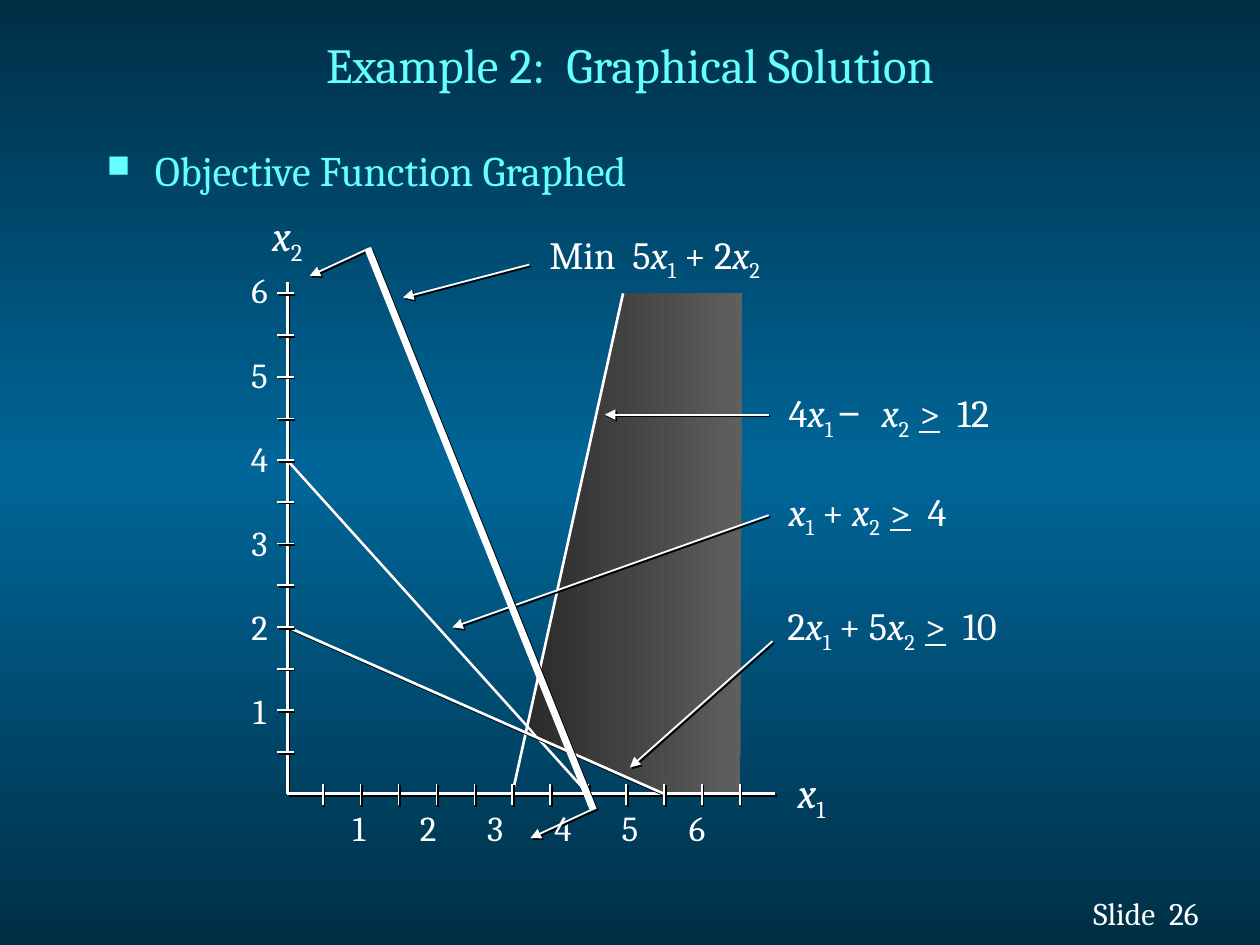
import copy
import dataclasses

import lxml.etree
import pptx
import pptx.dml.color
import pptx.enum.dml
import pptx.enum.shapes
import pptx.enum.text
import pptx.oxml.ns
import pptx.util

qn = pptx.oxml.ns.qn
COLUMNS, ROWS = 100, 75


@dataclasses.dataclass(frozen=True)
class Theme:
    font: str = "Cambria"
    symbol_font: str = "Arial"
    edge: str = "002F46"
    middle: str = "006699"
    heading: str = "66FFFF"
    ink: str = "FFFFFF"
    shadow: str = "000000"
    region: tuple = ("2B2B2B", "5F5F5F")
    title: int = 28
    body: int = 24
    formula: int = 22
    tick: int = 20
    footer: int = 18
    thin: float = 1
    medium: float = 1.5
    thick: float = 4


THEME = Theme()


@dataclasses.dataclass(frozen=True)
class Box:
    left: float
    top: float
    width: float
    height: float


def grid(cells):
    return pptx.util.Inches(cells * 10 / COLUMNS)


def rgb(value):
    return pptx.dml.color.RGBColor.from_string(value)


def add_node(parent, tag, **attributes):
    node = lxml.etree.SubElement(parent, qn(tag))
    for key, value in attributes.items():
        node.set(key, str(value))
    return node


def add_shadow(parent):
    effects = add_node(parent, "a:effectLst")
    outer = add_node(effects, "a:outerShdw", dist=17780, dir=2700000, algn="ctr", rotWithShape=0)
    add_node(outer, "a:srgbClr", val=THEME.shadow)


def style_paragraph(paragraph, size, color):
    font = paragraph.font
    font.name, font.size = THEME.font, pptx.util.Pt(size)
    font.color.rgb = rgb(color)


def add_text(slide, box, lines, size, color=THEME.ink, inset=1, shadow=False):
    frame = slide.shapes.add_textbox(
        grid(box.left), grid(box.top), grid(box.width), grid(box.height)).text_frame
    frame.word_wrap = True
    frame.margin_left = frame.margin_right = grid(inset)
    frame.margin_top = frame.margin_bottom = grid(inset / 2)
    for index, pieces in enumerate(lines):
        paragraph = frame.add_paragraph() if index else frame.paragraphs[0]
        style_paragraph(paragraph, size, color)
        for content, style in pieces:
            run = paragraph.add_run()
            run.text = content
            properties = run._r.get_or_add_rPr()
            if shadow:
                add_shadow(properties)
            if style == "italic":
                run.font.italic = True
            elif style == "underline":
                run.font.underline = True
            elif style == "subscript":
                properties.set("baseline", "-25000")
            elif style == "symbol":
                run.font.name = THEME.symbol_font
    return frame


def plain(content):
    return [(content, "")]


def variable(index, gap=""):
    return [("x", "italic"), (index + gap, "subscript")]


def at_least(bound):
    return [(">", "underline"), ("  " + bound, "")]


def add_line(slide, start, end, width, arrow=False, shadow=True):
    line = slide.shapes.add_connector(
        pptx.enum.shapes.MSO_CONNECTOR.STRAIGHT, *map(grid, start + end))
    line.line.color.rgb = rgb(THEME.ink)
    line.line.width = pptx.util.Pt(width)
    properties = line._element.spPr
    if arrow:
        add_node(properties.find(qn("a:ln")), "a:tailEnd", type="triangle")
    if shadow:
        add_shadow(properties)
    else:
        add_node(properties, "a:effectLst")


def paint_background(slide):
    fill = slide.background.fill
    fill.gradient()
    fill.gradient_angle = 90
    first = fill.gradient_stops[0]._gs
    first.addnext(copy.deepcopy(first))
    colors = (THEME.edge, THEME.middle, THEME.edge)
    for stop, color, position in zip(fill.gradient_stops, colors, (0, 0.5, 1)):
        stop.color.rgb = rgb(color)
        stop.position = position


def place_title(slide, box):
    frame = add_text(slide, box, [plain("Example 2:  Graphical Solution")], THEME.title, THEME.heading)
    frame.vertical_anchor = pptx.enum.text.MSO_ANCHOR.MIDDLE
    frame.paragraphs[0].alignment = pptx.enum.text.PP_ALIGN.CENTER


def place_topic(slide, box):
    frame = add_text(slide, box, [plain("Objective Function Graphed")], THEME.body, THEME.heading)
    topic = frame.paragraphs[0]
    topic.space_before = pptx.util.Pt(THEME.body * 0.2)
    properties = topic._p.get_or_add_pPr()
    properties.set("marL", str(grid(3.8)))
    properties.set("indent", str(-grid(3.8)))
    bullet_color = lxml.etree.Element(qn("a:buClr"))
    add_node(bullet_color, "a:srgbClr", val=THEME.heading)
    bullet_size = lxml.etree.Element(qn("a:buSzPct"), val="75000")
    bullet = lxml.etree.Element(qn("a:buChar"), char="■")
    for node in (bullet_color, bullet_size, bullet):
        properties.find(qn("a:defRPr")).addprevious(node)


def place_graph(slide, box):
    ticks = 12
    bottom = box.top + box.height
    corner = (box.left, bottom)

    def point(across, up):
        x = box.left - 0.2 + across * 3.01 if across else box.left
        return x, bottom - up * 3.31

    add_line(slide, (box.left, box.top), corner, THEME.medium)
    add_line(slide, point(0, 8), point(8, 0), THEME.medium)

    outline = [tuple(map(grid, point(*vertex))) for vertex in (
        (6.41, 1.66), (8.94, 12), (12.06, 12), (12, 0), (10, 0), (6.71, 1.33))]
    builder = slide.shapes.build_freeform(*outline[0], scale=1.0)
    builder.add_line_segments(outline[1:], close=True)
    region = builder.convert_to_shape()
    region.shadow.inherit = False
    region.line.fill.background()
    region.fill.gradient()
    region.fill.gradient_angle = 0
    for stop, color in zip(region.fill.gradient_stops, THEME.region):
        stop.color.rgb = rgb(color)

    add_line(slide, corner, (box.left + box.width, bottom), THEME.medium)
    add_line(slide, point(6, 0), point(8.92, 12), THEME.medium, shadow=False)
    add_line(slide, point(0, 4), point(10, 0), THEME.medium)
    for tick in range(1, ticks + 1):
        x, y = point(tick, tick)
        add_line(slide, (x, bottom - 0.8), (x, bottom + 0.9), THEME.thin)
        add_line(slide, (box.left - 0.8, y), (box.left + 0.5, y), THEME.thin)

    arrows = (
        ((12.76, 9.09), (8.44, 9.09)),
        ((12.86, 3.66), (9.1, 0.63)),
        ((12.76, 6.68), (4.42, 3.99)),
        ((6.45, 12.69), (3.12, 11.9)),
        ((8.07, -0.39), (6.48, -1.06)),
        ((2.23, 13.08), (0.66, 12.42)),
    )
    for start, end in arrows:
        add_line(slide, point(*start), point(*end), THEME.thin, arrow=True)
    add_line(slide, point(8.14, -0.39), point(2.19, 13.08), THEME.thick)
    place_tick_labels(slide, Box(box.left, box.top, box.width, box.height))


def place_tick_labels(slide, box):
    across = Box(box.left + 4.2, box.top + box.height + 0.5, box.width, 4.3)
    frame = add_text(slide, across, [plain("\t".join("123456"))], THEME.tick)
    stops = lxml.etree.Element(qn("a:tabLst"))
    for step in range(1, 6):
        add_node(stops, "a:tab", pos=grid(5.34 * step), algn="l")
    frame.paragraphs[0]._p.pPr.find(qn("a:defRPr")).addprevious(stops)

    upward = Box(box.left - 3.9, box.top - 1.5, 3.4, 37.7)
    frame = add_text(slide, upward, [plain(number) for number in "654321"], THEME.tick, inset=0.9)
    for paragraph in frame.paragraphs:
        paragraph.alignment = pptx.enum.text.PP_ALIGN.CENTER
        paragraph.space_after = pptx.util.Pt(24)


def place_formulas(slide, box):
    labels = (
        (0, 0, THEME.body, variable("2")),
        (41.7, 44.2, THEME.body, variable("1")),
        (22, 1.7, THEME.formula, plain("Min  5") + variable("1") + plain(" + 2") + variable("2")),
        (41, 14.3, THEME.formula, plain("4") + variable("1", " ") + [("−  ", "symbol")]
         + variable("2", "  ") + at_least("12")),
        (41, 22.1, THEME.formula, variable("1") + plain(" + ") + variable("2", "  ") + at_least("4")),
        (40.9, 31.2, THEME.formula, plain("2") + variable("1") + plain(" + 5")
         + variable("2", "  ") + at_least("10")),
    )
    for across, down, size, pieces in labels:
        width = 5.6 if size == THEME.body else 23
        label = Box(box.left + across, box.top + down, width, 5.2)
        add_text(slide, label, [pieces], size, inset=1.4, shadow=True)


def place_footer(slide, box):
    add_text(slide, box, [plain("Slide  26")], THEME.footer, shadow=True)


def main():
    deck = pptx.Presentation()
    deck.slide_width, deck.slide_height = grid(COLUMNS), grid(ROWS)
    slide = deck.slides.add_slide(deck.slide_layouts[6])
    paint_background(slide)
    place_title(slide, Box(7.5, 0.6, 85, 8.9))
    place_topic(slide, Box(7.5, 11, 55.2, 6.5))
    place_graph(slide, Box(22.8, 22.4, 38.7, 40.6))
    place_formulas(slide, Box(20.2, 15.9, 64, 50))
    place_footer(slide, Box(85.8, 70.5, 12, 4))
    deck.save("out.pptx")


if __name__ == "__main__":
    main()
